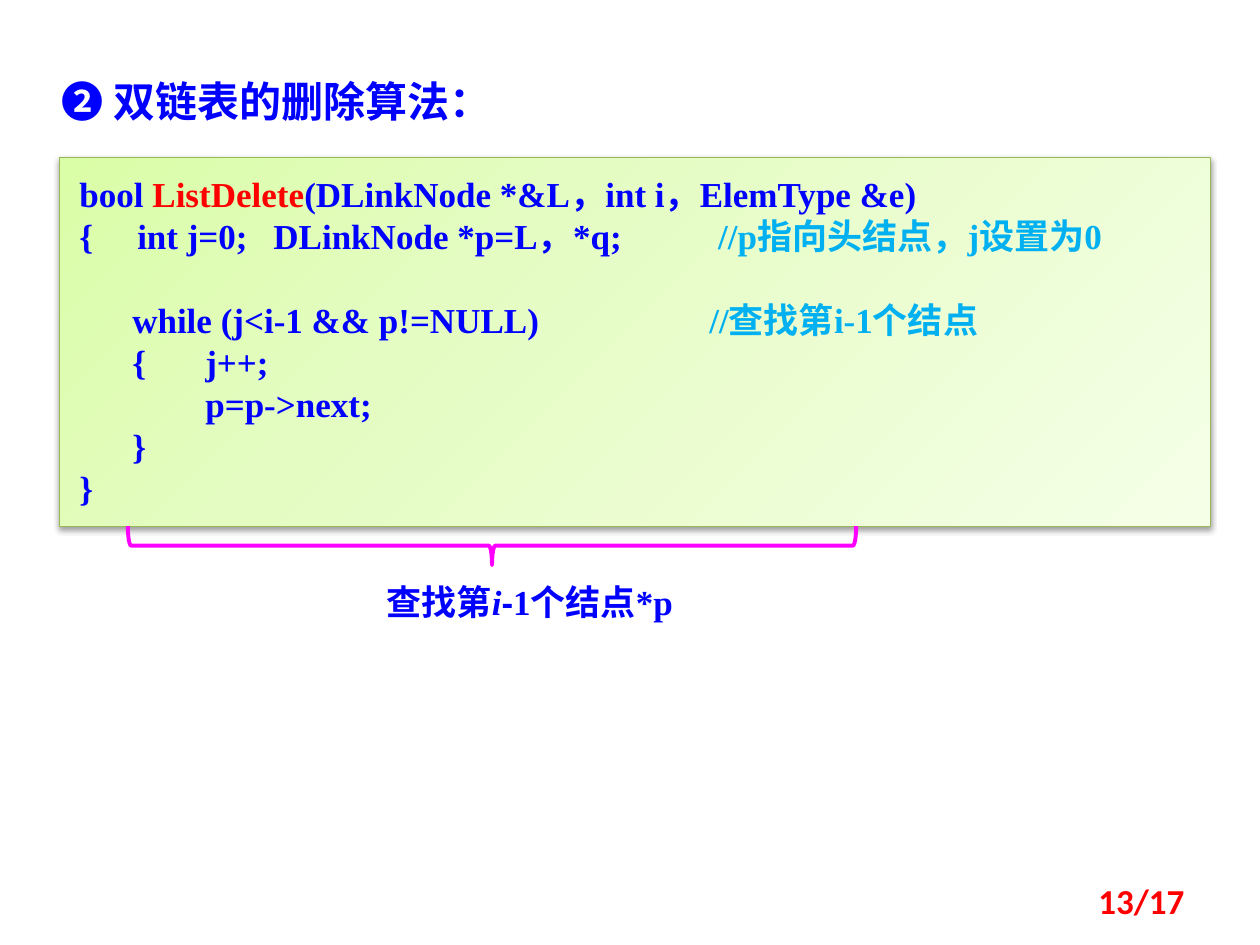
from copy import deepcopy
from dataclasses import dataclass
from typing import Optional

from lxml import etree
from pptx import Presentation
from pptx import util as u
from pptx.dml.color import RGBColor
from pptx.enum import shapes, text
from pptx.oxml import ns


@dataclass(frozen=True)
class Theme:
    ink: str = "0000FF"
    name: str = "FF0000"
    comment: str = "00B0F0"
    brace: str = "FF00FF"
    border: str = "98B955"
    gradient: tuple = ((0, "DAFDA7"), (35, "E4FCC2"), (100, "F5FFE7"))
    serif: str = "Times New Roman"
    sans: str = "Arial"
    number: str = "Calibri"
    chinese: str = "Noto Sans CJK SC"
    heading_size: int = 24
    body_size: int = 20


THEME = Theme()


@dataclass(frozen=True)
class Run:
    words: str
    colour: str = THEME.ink
    font: str = THEME.serif
    size: int = THEME.body_size
    italic: bool = False


@dataclass(frozen=True)
class Line:
    runs: tuple
    tabs: tuple = ()
    before: int = 0


@dataclass(frozen=True)
class Box:
    left: float
    top: float
    width: float
    height: float

    def lengths(self) -> tuple:
        return tuple(u.Inches(n) for n in (self.left, self.top, self.width, self.height))


STATEMENT, NESTED, REMARK = 0.42, 1.0, 5.0
CODE = (
    Line((Run("bool "), Run("ListDelete", THEME.name),
          Run("(DLinkNode *&L，int i，ElemType &e)"))),
    Line((Run("{\tint j=0;\tDLinkNode *p=L，*q;\t"),
          Run("//p指向头结点，j设置为0", THEME.comment)), (0.46, 1.54, 5.07)),
    Line((Run("\twhile (j<i-1 && p!=NULL)\t"),
          Run("//查找第i-1个结点", THEME.comment)), (STATEMENT, REMARK), before=24),
    Line((Run("\t{\tj++;"),), (STATEMENT, NESTED)),
    Line((Run("\tp=p->next;"),), (NESTED,)),
    Line((Run("\t}"),), (STATEMENT,)),
    Line((Run("}"),)),
)
HEADING = (Line((Run("❷ 双链表的删除算法：", font=THEME.chinese, size=THEME.heading_size),)),)
CAPTION = (Line((Run("查找第"), Run("i", italic=True), Run("-", font=THEME.sans),
                 Run("1个结点*p"))),)
PAGE = (Line((Run("13/17", THEME.name, THEME.number),)),)


def write(shape, lines: tuple, *, align=text.PP_ALIGN.LEFT, anchor=text.MSO_ANCHOR.TOP,
          margins: tuple = (0.1, 0.05), wrap: bool = True,
          fit: Optional[text.MSO_AUTO_SIZE] = text.MSO_AUTO_SIZE.SHAPE_TO_FIT_TEXT) -> None:
    frame = shape.text_frame
    frame.word_wrap = wrap
    frame.auto_size = fit
    frame.vertical_anchor = anchor
    frame.margin_left = frame.margin_right = u.Inches(margins[0])
    frame.margin_top = frame.margin_bottom = u.Inches(margins[1])
    for index, line in enumerate(lines):
        paragraph = frame.add_paragraph() if index else frame.paragraphs[0]
        paragraph.alignment = align
        paragraph.line_spacing = 1.0
        paragraph.space_before = u.Pt(line.before)
        if line.tabs:
            stops = etree.SubElement(paragraph._p.get_or_add_pPr(), ns.qn("a:tabLst"))
            for stop in line.tabs:
                etree.SubElement(stops, ns.qn("a:tab"), pos=str(u.Inches(stop)), algn="l")
        for piece in line.runs:
            run = paragraph.add_run()
            run.text = piece.words
            run.font.size = u.Pt(piece.size)
            run.font.bold = True
            run.font.italic = piece.italic
            run.font.color.rgb = RGBColor.from_string(piece.colour)
            run.font.name = piece.font
            etree.SubElement(run._r.get_or_add_rPr(), ns.qn("a:ea"), typeface=THEME.chinese)


def outline(shape, colour: str, width: float) -> None:
    shape.line.color.rgb = RGBColor.from_string(colour)
    shape.line.width = u.Pt(width)
    shape.shadow.inherit = False


def shade(shape) -> None:
    shape.fill.gradient()
    properties = shape._element.spPr
    stops = properties.find(".//" + ns.qn("a:gsLst"))
    template = deepcopy(stops[0])
    for stop in list(stops):
        stops.remove(stop)
    for position, colour in THEME.gradient:
        stop = deepcopy(template)
        stop.set("pos", str(position * 1000))
        for child in list(stop):
            stop.remove(child)
        etree.SubElement(stop, ns.qn("a:srgbClr"), val=colour)
        stops.append(stop)
    shape.fill.gradient_angle = 315


def cast_shadow(shape) -> None:
    effects = shape._element.spPr.find(ns.qn("a:effectLst"))
    shadow = etree.SubElement(effects, ns.qn("a:outerShdw"), blurRad=str(u.Pt(3.1)),
                              dist=str(u.Pt(1.6)), dir="5400000", rotWithShape="0")
    colour = etree.SubElement(shadow, ns.qn("a:srgbClr"), val="000000")
    etree.SubElement(colour, ns.qn("a:alpha"), val="38000")


def build() -> None:
    presentation = Presentation()
    presentation.slide_width, presentation.slide_height = u.Inches(10), u.Inches(7.5)
    slide = presentation.slides.add_slide(presentation.slide_layouts[5])

    title = slide.shapes.title
    title.left, title.top, title.width, title.height = Box(0.39, 0.55, 3.67, 0.5).lengths()
    write(title, HEADING, wrap=False)

    code = slide.shapes.add_shape(shapes.MSO_SHAPE.RECTANGLE,
                                  *Box(0.47, 1.25, 9.14, 2.93).lengths())
    shade(code)
    outline(code, THEME.border, 0.75)
    cast_shadow(code)
    write(code, CODE, margins=(0.16, 0.12))

    group = slide.shapes.add_group_shape()
    caption = group.shapes.add_textbox(*Box(2.97, 4.56, 2.81, 0.44).lengths())
    write(caption, CAPTION)
    brace = group.shapes.add_shape(shapes.MSO_SHAPE.LEFT_BRACE,
                                   *Box(3.75, 1.44, 0.31, 5.78).lengths())
    brace.rotation = 270
    brace.fill.background()
    outline(brace, THEME.brace, 2.25)

    page = slide.shapes.add_textbox(*Box(7.17, 6.95, 2.33, 0.4).lengths())
    write(page, PAGE, align=text.PP_ALIGN.RIGHT, anchor=text.MSO_ANCHOR.MIDDLE,
          fit=text.MSO_AUTO_SIZE.NONE)

    presentation.save("out.pptx")


build()
